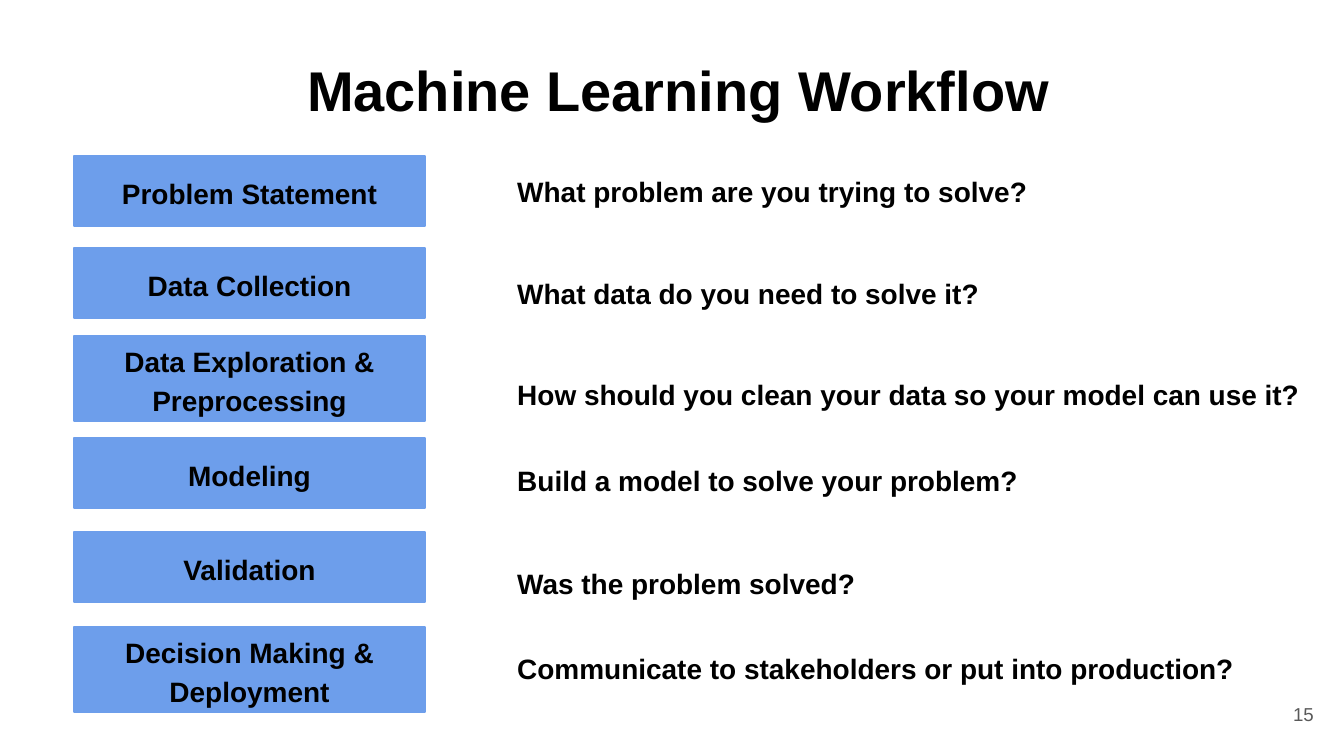
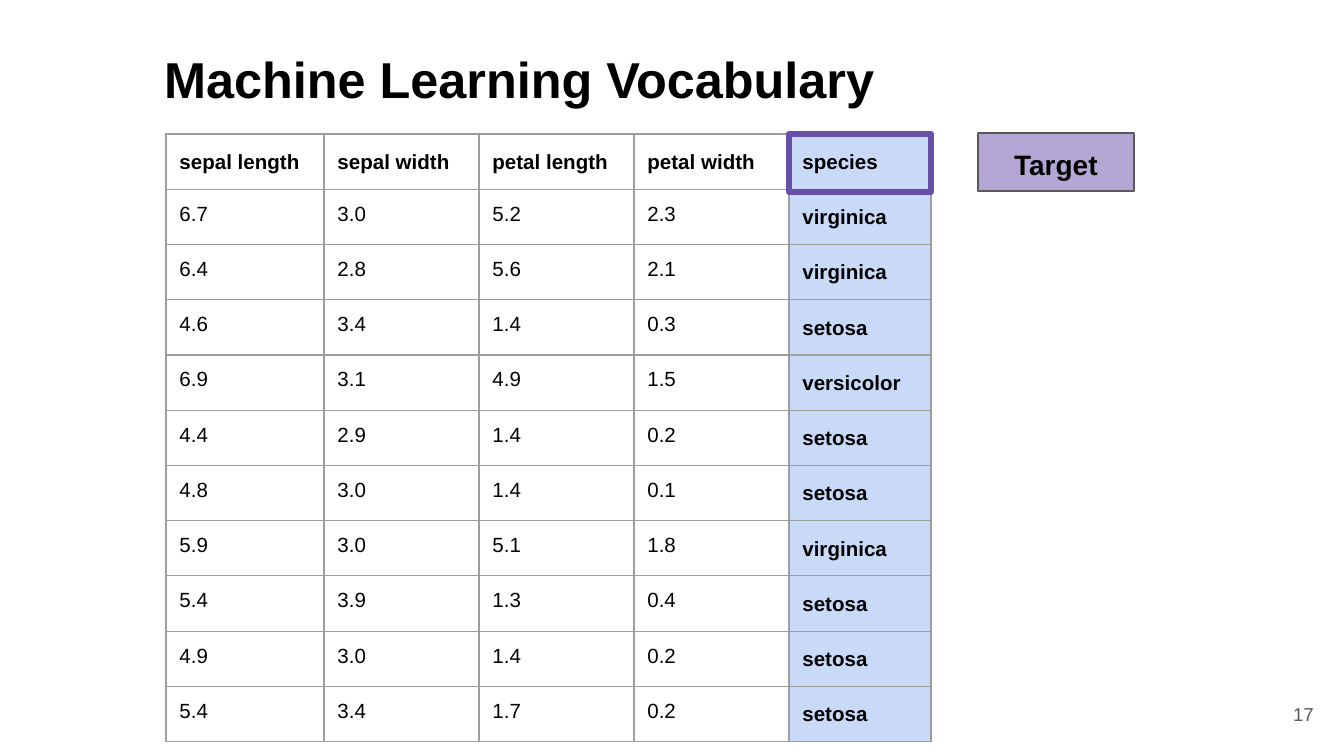
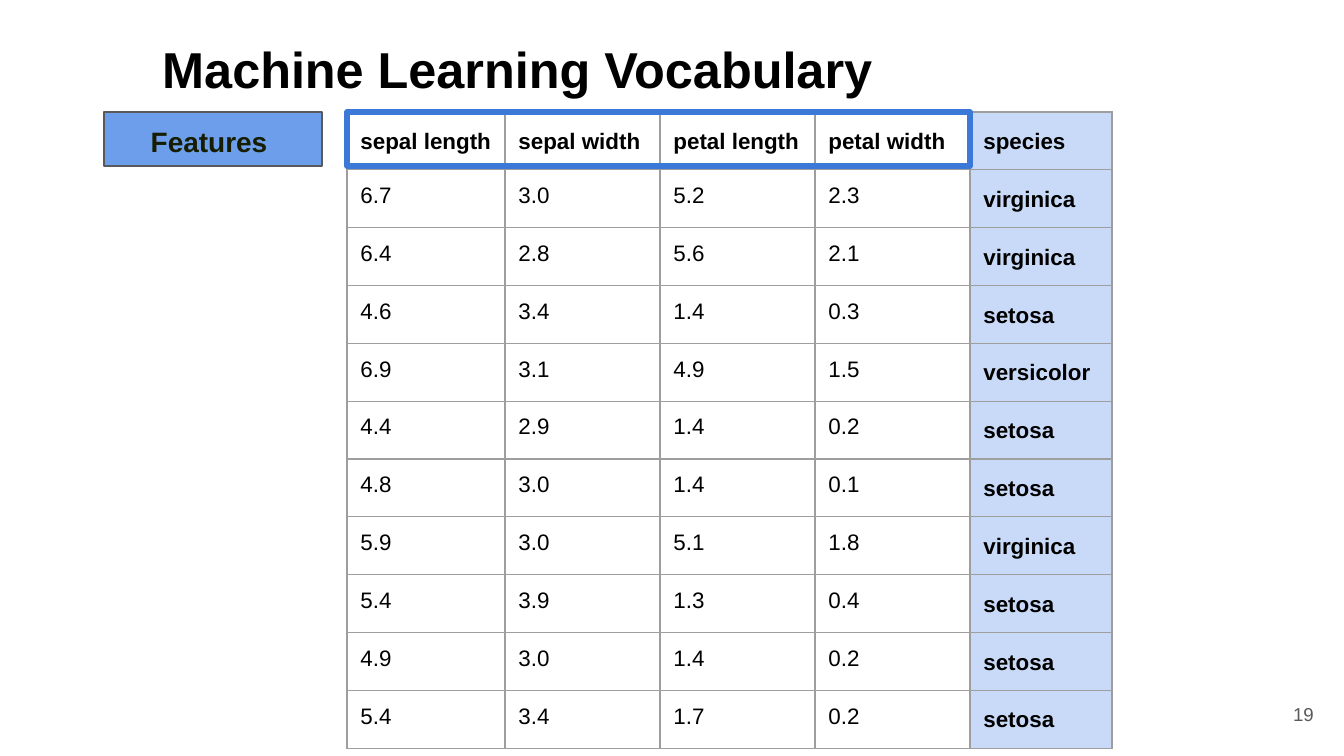
import pptx
import pptx.util
import pptx.dml.color
import pptx.enum.shapes
import pptx.enum.text
import pptx.oxml
import pptx.oxml.ns

RGB = pptx.dml.color.RGBColor
ALIGN = pptx.enum.text.PP_ALIGN
ANCHOR = pptx.enum.text.MSO_ANCHOR

# Shared look
PX = 914400 / 134.4
FONT = "Arial"
INSET = pptx.util.Pt(7.2)
BLACK = RGB(0x00, 0x00, 0x00)
GREY = RGB(0x59, 0x59, 0x59)
RULE = RGB(0x9E, 0x9E, 0x9E)
BLUE = RGB(0x6D, 0x9E, 0xEB)
PALE = RGB(0xC9, 0xDA, 0xF8)
DEEP = RGB(0x3C, 0x78, 0xD8)
LILAC = RGB(0xB4, 0xA7, 0xD6)
PURPLE = RGB(0x67, 0x4E, 0xA7)
OLIVE = RGB(0x16, 0x1D, 0x00)

# Workflow steps: name, top, height; question, top, width, height
STEPS = [
    ("Problem Statement", 0, 70,
     "What problem are you trying to solve?", 0, 642, 60),
    ("Data Collection", 92, 70,
     "What data do you need to solve it?", 102, 575, 60),
    ("Data Exploration & Preprocessing", 180, 85,
     "How should you clean your data so your model can use it?", 203, 813, 60),
    ("Modeling", 282, 70,
     "Build a model to solve your problem?", 289, 575, 60),
    ("Validation", 376, 70,
     "Was the problem solved?", 392, 590, 75),
    ("Decision Making & Deployment", 471, 85,
     "Communicate to stakeholders or put into production?", 477, 785, 60),
]

# Iris sample
COLS = [158, 155, 155, 155, 142]
HEADS = ["sepal length", "sepal width", "petal length", "petal width", "species"]
ROWS = [
    ["6.7", "3.0", "5.2", "2.3", "virginica"],
    ["6.4", "2.8", "5.6", "2.1", "virginica"],
    ["4.6", "3.4", "1.4", "0.3", "setosa"],
    ["6.9", "3.1", "4.9", "1.5", "versicolor"],
    ["4.4", "2.9", "1.4", "0.2", "setosa"],
    ["4.8", "3.0", "1.4", "0.1", "setosa"],
    ["5.9", "3.0", "5.1", "1.8", "virginica"],
    ["5.4", "3.9", "1.3", "0.4", "setosa"],
    ["4.9", "3.0", "1.4", "0.2", "setosa"],
    ["5.4", "3.4", "1.7", "0.2", "setosa"],
]


def emu(*px):
    return [pptx.util.Emu(round(n * PX)) for n in px]


def write(frame, text, size, color=BLACK, bold=True, align=ALIGN.LEFT, loose=True):
    para = frame.paragraphs[0]
    para.alignment = align
    if loose:
        para.line_spacing = 1.15
        para.space_after = pptx.util.Pt(5)
    run = para.add_run()
    run.text = text
    run.font.name = FONT
    run.font.size = pptx.util.Pt(size)
    run.font.bold = bold
    run.font.color.rgb = color


def pad(item):
    item.margin_left = item.margin_right = INSET
    item.margin_top = item.margin_bottom = INSET


def label(slide, box, text, size, anchor=ANCHOR.TOP, grow=False, **style):
    frame = slide.shapes.add_textbox(*emu(*box)).text_frame
    frame.word_wrap = True
    frame.vertical_anchor = anchor
    if grow:
        frame.auto_size = pptx.enum.text.MSO_AUTO_SIZE.SHAPE_TO_FIT_TEXT
    pad(frame)
    write(frame, text, size, **style)


def panel(slide, box, line, width=0.75, fill=None, text=None, color=BLACK):
    shape = slide.shapes.add_shape(
        pptx.enum.shapes.MSO_SHAPE.RECTANGLE, *emu(*box))
    shape.shadow.inherit = False
    shape.line.color.rgb = line
    shape.line.width = pptx.util.Pt(width)
    if fill is None:
        shape.fill.background()
    else:
        shape.fill.solid()
        shape.fill.fore_color.rgb = fill
    if text:
        frame = shape.text_frame
        frame.word_wrap = True
        frame.vertical_anchor = ANCHOR.MIDDLE
        pad(frame)
        write(frame, text, 15, color, align=ALIGN.CENTER)


def edge(cell):
    props = cell._tc.get_or_add_tcPr()
    for side in "LRTB":
        props.append(pptx.oxml.parse_xml(
            f'<a:ln{side} {pptx.oxml.ns.nsdecls("a")} w="9525">'
            f'<a:solidFill><a:srgbClr val="{RULE}"/></a:solidFill></a:ln{side}>'))


def page(deck, title, box, size, number, align=ALIGN.LEFT):
    slide = deck.slides.add_slide(deck.slide_layouts[6])
    label(slide, box, title, size, align=align)
    label(slide, (1246, 685, 81, 58), number, 10, ANCHOR.MIDDLE,
          color=GREY, bold=False, align=ALIGN.RIGHT, loose=False)
    return slide


def flow(slide, box):
    left, top, width, gap = box
    for name, drop, high, ask, fall, wide, tall in STEPS:
        panel(slide, (left, top + drop, width, high), BLUE, fill=BLUE, text=name)
        label(slide, (left + width + gap, top + fall, wide, tall), ask, 15, grow=True)


def grid(slide, box, size):
    cells = [HEADS] + ROWS
    table = slide.shapes.add_table(len(cells), len(COLS), *emu(*box)).table
    table.first_row = table.horz_banding = False
    for col, width in zip(table.columns, COLS):
        col.width = emu(width)[0]
    for r, words in enumerate(cells):
        table.rows[r].height = emu(box[3] // len(cells))[0]
        for c, word in enumerate(words):
            cell = table.cell(r, c)
            last = c == len(COLS) - 1
            strong = r == 0 or last
            pad(cell)
            edge(cell)
            if last:
                cell.fill.solid()
                cell.fill.fore_color.rgb = PALE
            else:
                cell.fill.background()
            write(cell.text_frame, word, size, bold=strong, loose=strong)


def vocab(slide, box, size, tag, first, count, high, line):
    """Table with a coloured tag and a frame around some of its heads."""
    left, top, width, height = box
    grid(slide, box, size)
    panel(slide, **tag)
    start = left + sum(COLS[:first])
    panel(slide, (start, top, sum(COLS[first:first + count]), high), line, 3)


def main():
    deck = pptx.Presentation()
    deck.slide_width, deck.slide_height = emu(1344, 756)

    # Workflow
    slide = page(deck, "Machine Learning Workflow", (52, 32, 1253, 85), 30, "15",
                 ALIGN.CENTER)
    flow(slide, (74, 156, 351, 79))

    # Target column
    slide = page(deck, "Machine Learning Vocabulary", (151, 26, 1161, 85), 27, "17")
    tag = dict(box=(978, 133, 156, 58), line=GREY, fill=LILAC, text="Target")
    vocab(slide, (166, 134, sum(COLS), 590), 11, tag, 4, 1, 58, PURPLE)

    # Feature columns
    slide = page(deck, "Machine Learning Vocabulary", (149, 16, 1160, 85), 27, "19")
    tag = dict(box=(104, 112, 218, 54), line=GREY, fill=BLUE, text="Features ",
               color=OLIVE)
    vocab(slide, (347, 112, sum(COLS), 612), 12, tag, 0, 4, 54, DEEP)

    deck.save("out.pptx")


if __name__ == "__main__":
    main()
